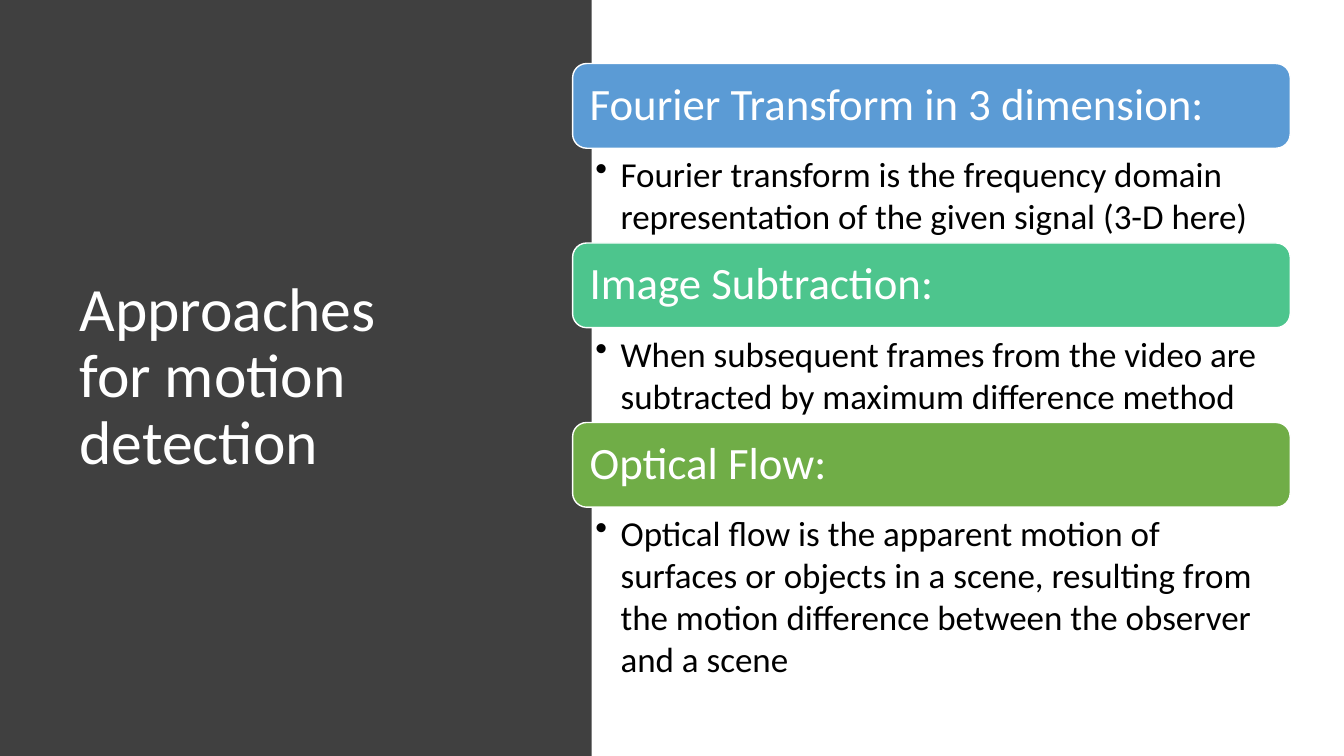
"""Build the slide on approaches for motion detection."""
from lxml import etree
from pptx import Presentation
from pptx.dml.color import RGBColor
from pptx.enum.shapes import MSO_SHAPE
from pptx.enum.text import MSO_ANCHOR, MSO_AUTO_SIZE, PP_ALIGN
from pptx.oxml.ns import qn
from pptx.util import Pt

ROUNDED = MSO_SHAPE.ROUNDED_RECTANGLE
MIDDLE, TOP = MSO_ANCHOR.MIDDLE, MSO_ANCHOR.TOP
LEFT = PP_ALIGN.LEFT
NO_AUTOFIT = MSO_AUTO_SIZE.NONE

COLORS = {
    "panel": "404040",
    "blue": "5B9BD5",
    "teal": "4DC58D",
    "green": "70AD47",
    "white": "FFFFFF",
    "black": "000000",
}
APPROACHES = [
    ("Fourier Transform in 3 dimension:", "blue", 67.7,
     "Fourier transform is the frequency domain representation of the given signal (3-D here)"),
    ("Image Subtraction:", "teal", 67.7,
     "When subsequent frames from the video are subtracted by maximum difference method"),
    ("Optical Flow:", "green", 130.3,
     "Optical flow is the apparent motion of surfaces or objects in a scene, "
     "resulting from the motion difference between the observer and a scene"),
]
LIST_LEFT, LIST_TOP, LIST_WIDTH = 409, 45.4, 512.6
BAR_HEIGHT, PITCH = 60.5, 128.2


def color(name):
    return RGBColor.from_string(COLORS[name])


def write_text(shape, text, size, color_name, anchor, margins, line_spacing):
    frame = shape.text_frame
    frame.word_wrap = True
    frame.auto_size = NO_AUTOFIT
    frame.vertical_anchor = anchor
    frame.margin_left, frame.margin_top, frame.margin_right, frame.margin_bottom = map(Pt, margins)
    frame.text = text
    paragraph = frame.paragraphs[0]
    paragraph.alignment = LEFT
    paragraph.line_spacing = line_spacing
    paragraph.space_before = Pt(0)
    return paragraph


presentation = Presentation()
presentation.slide_width, presentation.slide_height = Pt(960), Pt(540)
slide = presentation.slides.add_slide(presentation.slide_layouts[5])

title = slide.shapes.title
title.left, title.top, title.width, title.height = Pt(0), Pt(0), Pt(422.6), Pt(540)
title.fill.solid()
title.fill.fore_color.rgb = color("panel")
paragraphs = [(write_text(title, "Approaches\vfor motion\vdetection", 44, "white", MIDDLE,
                          (56.9, 3.6, 7.2, 3.6), 0.9), 44, "white")]

for index, (heading, fill_name, detail_height, detail) in enumerate(APPROACHES):
    top = LIST_TOP + index * PITCH
    bar = slide.shapes.add_shape(ROUNDED, Pt(LIST_LEFT), Pt(top), Pt(LIST_WIDTH), Pt(BAR_HEIGHT))
    bar.shadow.inherit = False
    bar.fill.solid()
    bar.fill.fore_color.rgb = color(fill_name)
    bar.line.color.rgb = color("white")
    bar.line.width = Pt(1)
    heading_paragraph = write_text(bar, heading, 32, "white", MIDDLE, (9.2, 9.6, 9.2, 9.6), 0.9)
    paragraphs.append((heading_paragraph, 32, "white"))

    box = slide.shapes.add_textbox(Pt(LIST_LEFT), Pt(top + BAR_HEIGHT), Pt(LIST_WIDTH), Pt(detail_height))
    detail_paragraph = write_text(box, detail, 25, "black", TOP, (16.3, 3.2, 17.8, 3.2), 1.0)
    properties = detail_paragraph._p.get_or_add_pPr()
    properties.set("marL", str(Pt(18)))
    properties.set("indent", str(-Pt(18)))
    etree.SubElement(properties, qn("a:buChar"), char="•")
    paragraphs.append((detail_paragraph, 25, "black"))

for paragraph, size, color_name in paragraphs:
    paragraph.font.name = "Calibri"
    paragraph.font.size = Pt(size)
    paragraph.font.color.rgb = color(color_name)

presentation.save("out.pptx")
